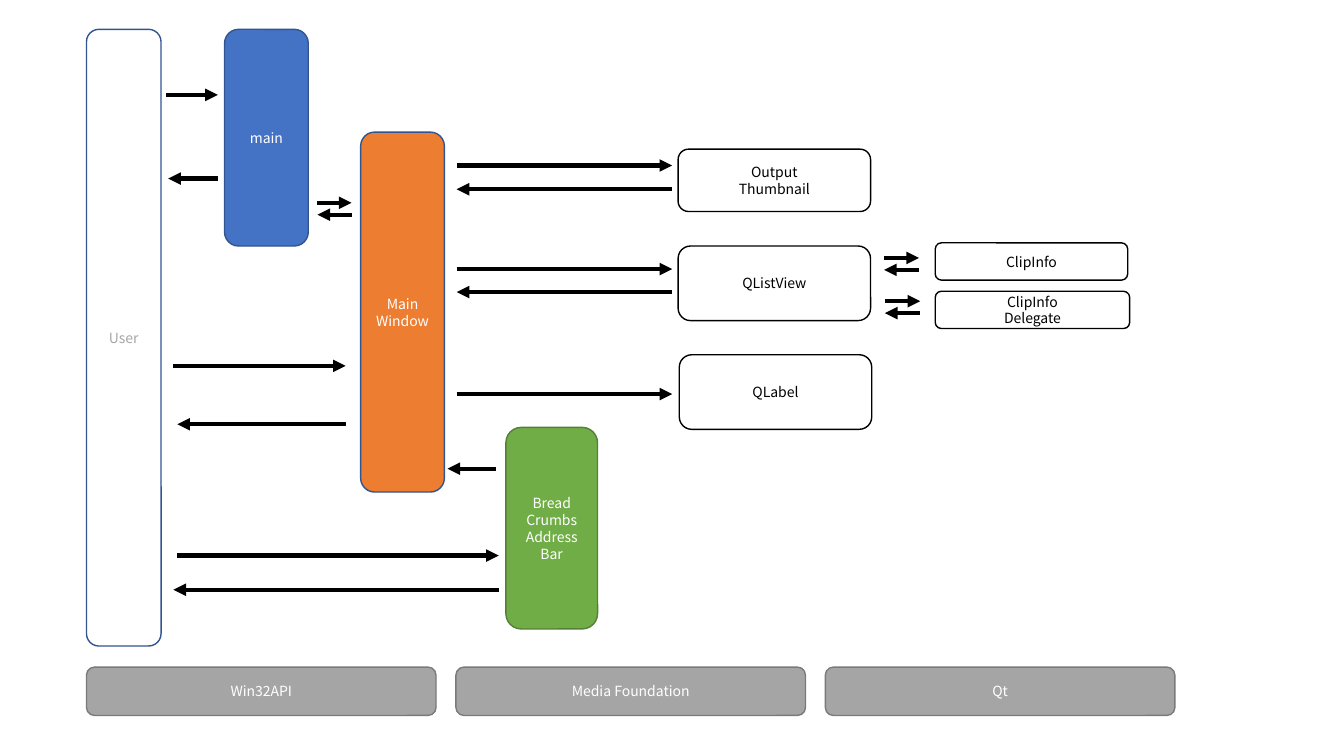
from dataclasses import dataclass

from lxml import etree
from pptx import Presentation
from pptx.dml.color import RGBColor
from pptx.enum.shapes import MSO_CONNECTOR, MSO_SHAPE
from pptx.enum.text import MSO_ANCHOR, PP_ALIGN
from pptx.oxml.ns import qn
from pptx.slide import Slide
from pptx.util import Cm, Pt

ROUNDED = MSO_SHAPE.ROUNDED_RECTANGLE
STRAIGHT = MSO_CONNECTOR.STRAIGHT
MIDDLE = MSO_ANCHOR.MIDDLE
CENTER = PP_ALIGN.CENTER


@dataclass(frozen=True)
class Theme:
    font: str = "Noto Sans CJK JP"
    text_size: float = 10
    box_line: float = 1
    arrow_line: float = 3
    white: str = "FFFFFF"
    black: str = "000000"
    pale: str = "A6A6A6"
    grey: str = "A5A5A5"
    grey_edge: str = "7A7A7A"
    blue: str = "4472C4"
    blue_edge: str = "325491"
    orange: str = "ED7D31"
    green: str = "70AD47"
    green_edge: str = "538035"


T = Theme()


@dataclass(frozen=True)
class Box:
    text: str
    left: float
    top: float
    width: float
    height: float
    fill: str | None = None
    edge: str = T.black
    color: str = T.black


@dataclass(frozen=True)
class Arrow:
    start: float
    end: float
    y: float


def exchange(left: float, right: float, y: float, gap: float) -> list[Arrow]:
    return [Arrow(left, right, y), Arrow(right, left, y + gap)]


LIBRARIES = [
    Box(name, 2.18 + i * 9.31, 16.81, 8.81, 1.22, T.grey, T.grey_edge, T.white)
    for i, name in enumerate(["Win32API", "Media Foundation", "Qt"])
]
BOXES = [
    Box("User", 2.18, 0.74, 1.88, 15.54, None, T.blue_edge, T.pale),
    *LIBRARIES,
    Box("main", 5.66, 0.74, 2.11, 5.46, T.blue, T.blue_edge, T.white),
    Box("Main\nWindow", 9.09, 3.33, 2.11, 9.07, T.orange, T.blue_edge, T.white),
    Box("Bread\nCrumbs\nAddress\nBar", 12.75, 10.77, 2.31, 5.08,
        T.green, T.green_edge, T.white),
    Box("Output\nThumbnail", 17.09, 3.76, 4.85, 1.57),
    Box("ClipInfo", 23.57, 6.12, 4.85, 0.94),
    Box("ClipInfo\nDelegate", 23.57, 7.34, 4.9, 0.94),
    Box("QListView", 17.09, 6.2, 4.85, 1.88),
    Box("QLabel", 17.12, 8.94, 4.85, 1.88),
]
ARROWS = [
    Arrow(4.19, 5.49, 2.39),
    Arrow(5.49, 4.24, 4.5),
    Arrow(4.37, 8.71, 9.22),
    Arrow(8.71, 4.47, 10.69),
    Arrow(4.47, 12.57, 14),
    Arrow(12.57, 4.37, 14.86),
    Arrow(12.5, 11.28, 11.81),
    Arrow(11.51, 16.94, 9.93),
    *exchange(11.51, 16.94, 4.17, 0.6),
    *exchange(11.51, 16.94, 6.78, 0.58),
    *exchange(22.28, 23.16, 6.5, 0.3),
    *exchange(22.3, 23.19, 7.59, 0.3),
    *exchange(8, 8.86, 5.11, 0.3),
]


def add_box(s: Slide, box: Box) -> None:
    sp = s.shapes.add_shape(
        ROUNDED, Cm(box.left), Cm(box.top), Cm(box.width), Cm(box.height))
    sp.shadow.inherit = False
    if box.fill:
        sp.fill.solid()
        sp.fill.fore_color.rgb = RGBColor.from_string(box.fill)
    else:
        sp.fill.background()
    sp.line.color.rgb = RGBColor.from_string(box.edge)
    sp.line.width = Pt(T.box_line)
    tf = sp.text_frame
    frame_format = {"word_wrap": True, "vertical_anchor": MIDDLE,
                    "margin_left": Cm(0.1), "margin_right": Cm(0.1)}
    for name, value in frame_format.items():
        setattr(tf, name, value)
    tf.text = box.text
    for p in tf.paragraphs:
        p.alignment = CENTER
        for r in p.runs:
            for name, value in {"name": T.font, "size": Pt(T.text_size)}.items():
                setattr(r.font, name, value)
            r.font.color.rgb = RGBColor.from_string(box.color)


def add_arrow(s: Slide, arrow: Arrow) -> None:
    sp = s.shapes.add_connector(
        STRAIGHT, Cm(arrow.start), Cm(arrow.y), Cm(arrow.end), Cm(arrow.y))
    sp.line.color.rgb = RGBColor.from_string(T.black)
    sp.line.width = Pt(T.arrow_line)
    etree.SubElement(sp.line._get_or_add_ln(), qn("a:tailEnd"), type="triangle")
    etree.SubElement(sp._element.spPr, qn("a:effectLst"))


def main() -> None:
    prs = Presentation()
    prs.slide_width, prs.slide_height = Cm(33.87), Cm(19.05)
    s = prs.slides.add_slide(prs.slide_layouts[6])
    for box in BOXES:
        add_box(s, box)
    for arrow in ARROWS:
        add_arrow(s, arrow)
    prs.save("out.pptx")


if __name__ == "__main__":
    main()
